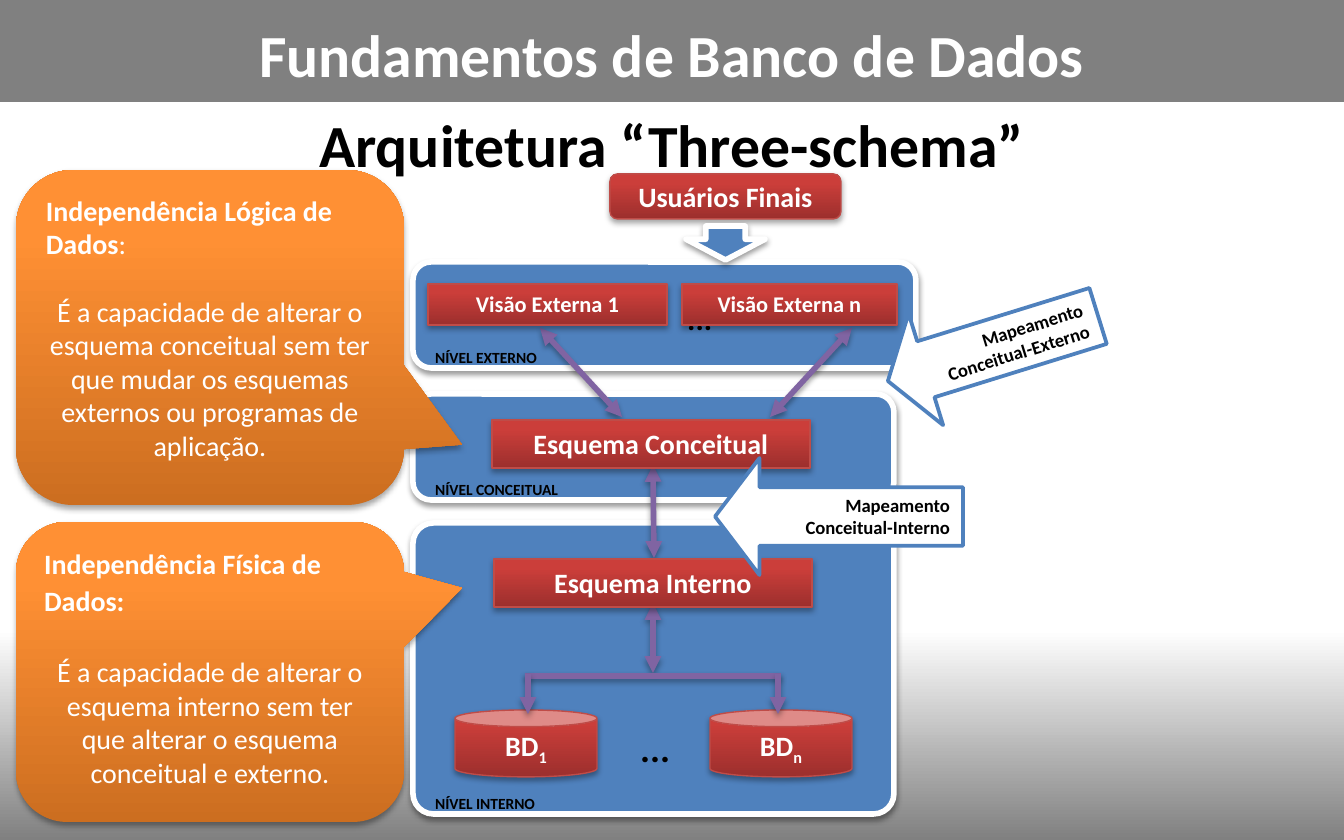
from pptx import Presentation
from pptx.dml.color import RGBColor
from pptx.enum.shapes import MSO_CONNECTOR as CONN, MSO_SHAPE as SHAPE
from pptx.enum.text import MSO_ANCHOR as ANCHOR, PP_ALIGN as ALIGN
from pptx.oxml import parse_xml
from pptx.oxml.ns import nsdecls
from pptx.util import Emu, Pt

COLORS = {
    "white": "FFFFFF", "black": "000000", "gray": "808080",
    "blue": "4F81BD", "purple": "8064A2", "red_line": "BF4C48",
    "red_dark": "9C2F2D", "red": "CB3E3A",
    "orange_dark": "CC6E20", "orange": "FF9034",
}
FONT = "Calibri"
SCALE = 914400 / 134.4


def px(n):
    """Turn pixels into EMU."""
    return Emu(round(n * SCALE))


def rgb(name):
    """Look up a named colour."""
    return RGBColor.from_string(COLORS[name])


def gradient(fill, start, end, angle, first=0, last=1):
    """Give a fill a two-stop linear gradient."""
    fill.gradient()
    fill.gradient_angle = angle
    for stop, color, position in zip(fill.gradient_stops, (start, end), (first, last)):
        stop.color.rgb = rgb(color)
        stop.position = position


def effects(sp, alpha=None, dist=1.8):
    """Add a soft downward shadow, or an empty effect list."""
    shadow = "" if alpha is None else (
        f'<a:outerShdw blurRad="{Pt(3.1)}" dist="{Pt(dist)}" dir="5400000" rotWithShape="0">'
        f'<a:srgbClr val="000000"><a:alpha val="{alpha * 1000}"/></a:srgbClr></a:outerShdw>')
    sp._element.spPr.append(
        parse_xml(f'<a:effectLst {nsdecls("a")}>{shadow}</a:effectLst>'))


class Diagram:
    """Holds the slide and draws its kinds of element."""

    def __init__(self, slide):
        """Keep the slide to draw on."""
        self.slide = slide
        self.shapes = slide.shapes

    def set_text(self, tf, lines, size, color="white", align=ALIGN.CENTER,
                 anchor=ANCHOR.TOP, bold=True, wrap=True):
        """Fill a text frame with equally formatted paragraphs."""
        tf.word_wrap = wrap
        tf.vertical_anchor = anchor
        for i, line in enumerate(lines):
            p = tf.add_paragraph() if i else tf.paragraphs[0]
            p.text = line
            p.alignment = align
            f = p.font
            f.name, f.size, f.bold = FONT, Pt(size), bold
            f.color.rgb = rgb(color)

    def title(self, text, box):
        """Place and format the title placeholder."""
        sp = self.shapes.title
        sp.left, sp.top, sp.width, sp.height = map(px, box)
        self.set_text(sp.text_frame, [text], 32, "black", anchor=ANCHOR.MIDDLE)

    def text(self, text, box, size, color="black", align=ALIGN.LEFT):
        """Add a text box."""
        sp = self.shapes.add_textbox(*map(px, box))
        self.set_text(sp.text_frame, [text], size, color, align)
        return sp

    def shape(self, kind, box, fill=None, line=None, width=0, adj=()):
        """Add a preset shape without its theme shadow."""
        sp = self.shapes.add_shape(kind, *map(px, box))
        sp.shadow.inherit = False
        for i, value in enumerate(adj):
            sp.adjustments[i] = value
        if fill:
            sp.fill.solid()
            sp.fill.fore_color.rgb = rgb(fill)
        if line:
            sp.line.color.rgb = rgb(line)
            sp.line.width = Pt(width)
        else:
            sp.line.fill.background()
        return sp

    def shadowed(self, sp, alpha, dist):
        """Swap the empty effect list of a shape for a shadow."""
        spPr = sp._element.spPr
        for old in spPr.xpath("a:effectLst"):
            spPr.remove(old)
        effects(sp, alpha, dist)
        return sp

    def blue(self, kind, box, adj):
        """Add a blue shape with a white outline."""
        return self.shadowed(self.shape(kind, box, "blue", "white", 3, adj), 38, 1.6)

    def red(self, text, box, size=15, kind=SHAPE.RECTANGLE, sub=None):
        """Add a red box or cylinder with a label and optional subscript."""
        sp = self.shadowed(self.shape(kind, box, line="red_line", width=0.75), 35, 1.8)
        gradient(sp.fill, "red_dark", "red", 90, 0, 0.8)
        boxed = kind == SHAPE.RECTANGLE
        self.set_text(sp.text_frame, [text], size, wrap=boxed,
                      anchor=ANCHOR.TOP if boxed else ANCHOR.MIDDLE)
        if sub:
            r = sp.text_frame.paragraphs[0].add_run()
            r.text = sub
            r._r.get_or_add_rPr().set("baseline", "-25000")

    def callout(self, heading, tail, body, box, adj, gap, spacing=1.0):
        """Add an orange callout with a bold heading above its body."""
        sp = self.shadowed(self.shape(SHAPE.ROUNDED_RECTANGULAR_CALLOUT, box, adj=adj), 35, 1.8)
        gradient(sp.fill, "orange_dark", "orange", 90, 0, 0.8)
        tf = sp.text_frame
        self.set_text(tf, [heading, body], 15, bold=False)
        head, text = tf.paragraphs
        head.alignment = ALIGN.LEFT
        head.line_spacing = spacing
        head.runs[0].font.bold = True
        if tail:
            head.add_run().text = tail
        text.space_before = Pt(gap)

    def mapping(self, lines, box, head, rotation=0):
        """Add a white arrow pointing left."""
        sp = self.shape(SHAPE.LEFT_ARROW, box, "white", "blue", 2, (0.5, head))
        sp.rotation = rotation
        self.set_text(sp.text_frame, lines, 10, "black", ALIGN.RIGHT)

    def link(self, x1, y1, x2, y2, ends=("headEnd", "tailEnd")):
        """Add a purple line with arrowheads at the given ends."""
        cx = self.shapes.add_connector(CONN.STRAIGHT, *map(px, (x1, y1, x2, y2)))
        cx.line.color.rgb = rgb("purple")
        cx.line.width = Pt(3)
        ln = cx._element.spPr.get_or_add_ln()
        for end in ends:
            ln.append(parse_xml(f'<a:{end} {nsdecls("a")} type="triangle"/>'))
        effects(cx, 35)


prs = Presentation()
prs.slide_width, prs.slide_height = px(1344), px(840)
d = Diagram(prs.slides.add_slide(prs.slide_layouts[5]))
gradient(d.slide.background.fill, "white", "gray", 270, 0.75, 1)

d.title("Arquitetura “Three-schema”", (67, 74, 1210, 140))

for y, w, h, corner in ((523, 481, 291, 0.07), (394, 481, 106, 0.17), (262, 503, 106, 0.17)):
    d.blue(SHAPE.ROUNDED_RECTANGLE, (413, y, w, h), (corner,))
d.red("Usuários Finais", (610, 174, 231, 45), kind=SHAPE.FLOWCHART_ALTERNATE_PROCESS)
d.blue(SHAPE.DOWN_ARROW, (686, 226, 79, 34), (0.5, 0.61))
for level, y in (("EXTERNO", 341), ("CONCEITUAL", 473), ("INTERNO", 787)):
    d.text(f"NÍVEL {level}", (422, y, 176, 32), 8.3)

d.callout("Independência Física de Dados:", "",
          "É a capacidade de alterar o esquema interno sem ter que alterar "
          "o esquema conceitual e externo.",
          (16, 522, 388, 300), (0.65, -0.28, 0.17), 20, 1.1)
d.callout("Independência Lógica de Dados", ":",
          "É a capacidade de alterar o esquema conceitual sem ter que mudar "
          "os esquemas externos ou programas de aplicação.",
          (16, 170, 388, 335), (0.65, 0.32, 0.17), 18)

for ends in ((540, 328, 622, 417), (852, 328, 770, 417),
             (653, 465, 654, 558), (653, 603, 653, 673)):
    d.link(*ends)
d.link(525, 676, 781, 676, ())

d.red("Esquema Conceitual", (492, 420, 318, 48))
d.red("Visão Externa 1", (428, 284, 239, 41), 12)
d.text("...", (674, 293, 52, 51), 16.7)
d.red("Visão Externa n", (682, 284, 215, 41), 12)
d.red("Esquema Interno", (494, 559, 318, 48))
for x, index in ((455, "1"), (710, "n")):
    d.red("BD", (x, 710, 142, 67), kind=SHAPE.CAN, sub=index)
d.text("...", (627, 719, 58, 59), 20)

d.mapping(["Mapeamento", "Conceitual-Interno"], (715, 458, 248, 117), 0.38)
d.mapping(["Mapeamento", "Conceitual-Externo"], (883, 290, 220, 117), 0.34, 342.8)
for x in (778, 528):
    d.link(x, 674, x, 714, ("tailEnd",))

d.shape(SHAPE.RECTANGLE, (0, 0, 1344, 102), "gray")
header = d.text("Fundamentos de Banco de Dados", (0, 17, 1344, 73), 32, "white", ALIGN.CENTER)
tf = header.text_frame
tf.margin_left = tf.margin_right = tf.margin_top = tf.margin_bottom = 0
tf.vertical_anchor = ANCHOR.MIDDLE

prs.save("out.pptx")
